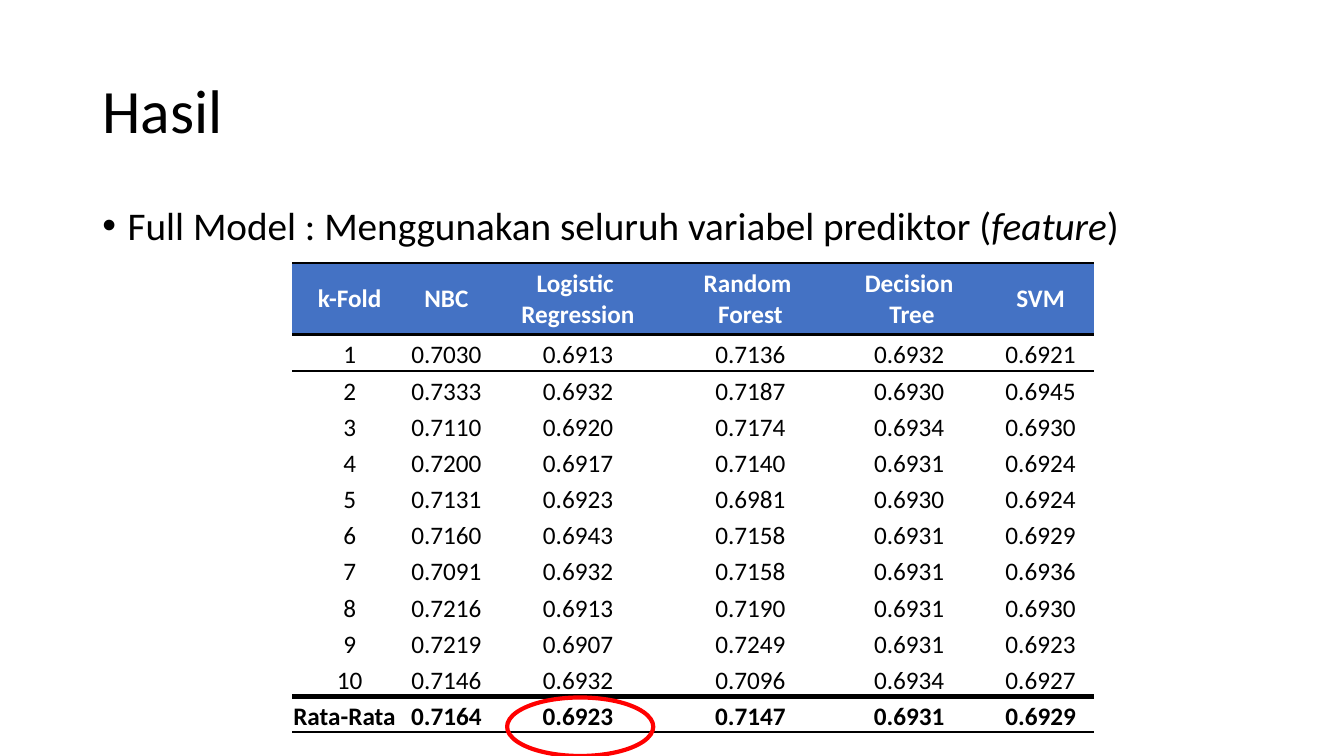
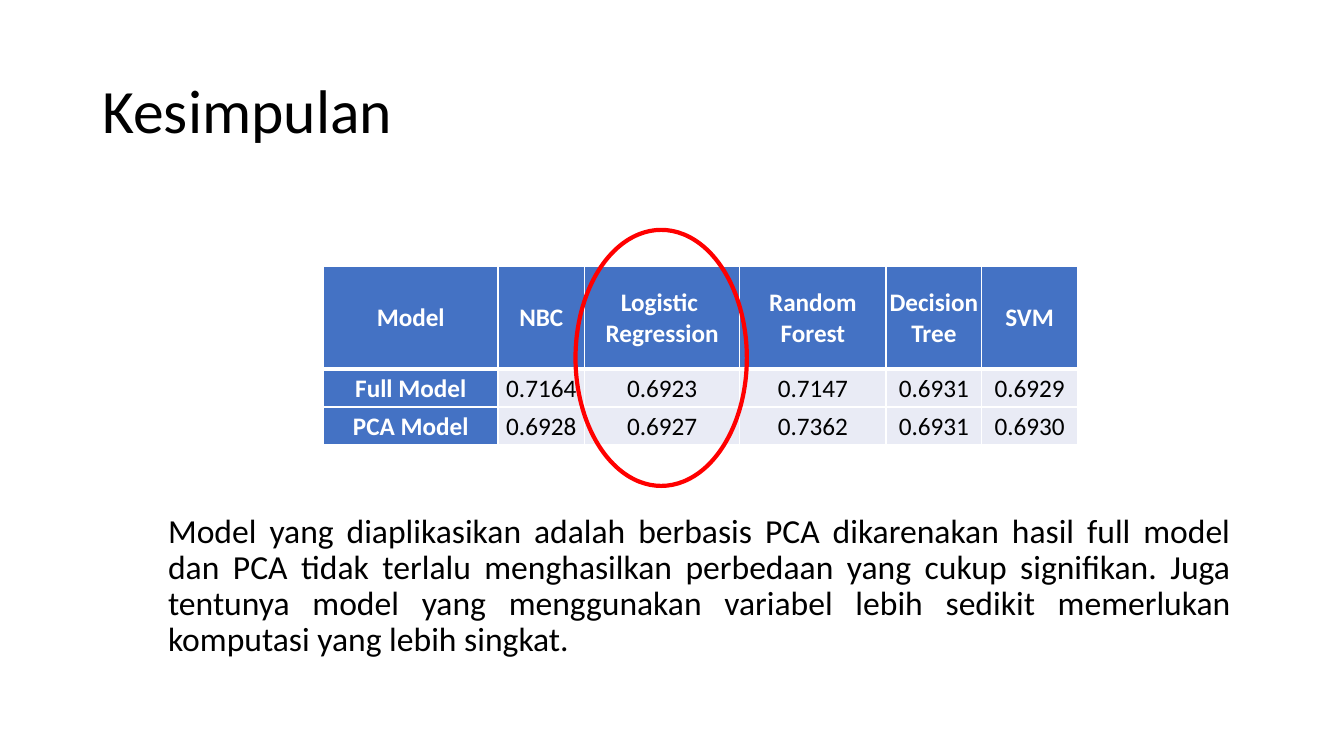
"""Builds two slides comparing the results of five classification models."""
from lxml import etree
from pptx import Presentation
from pptx.dml.color import RGBColor
from pptx.enum.shapes import MSO_SHAPE
from pptx.enum.text import MSO_ANCHOR, MSO_AUTO_SIZE, PP_ALIGN
from pptx.oxml.ns import qn
from pptx.util import Pt

BLACK = RGBColor(0x00, 0x00, 0x00)
WHITE = RGBColor(0xFF, 0xFF, 0xFF)
BLUE = RGBColor(0x44, 0x72, 0xC4)
PALE_BLUE = RGBColor(0xE9, 0xEB, 0xF5)
RED = RGBColor(0xFF, 0x00, 0x00)
OVAL = MSO_SHAPE.OVAL
MIDDLE, BOTTOM, TOP = MSO_ANCHOR.MIDDLE, MSO_ANCHOR.BOTTOM, MSO_ANCHOR.TOP
LEFT, CENTER, JUSTIFY = PP_ALIGN.LEFT, PP_ALIGN.CENTER, PP_ALIGN.JUSTIFY
FIXED_SIZE = MSO_AUTO_SIZE.NONE
FONT = "Calibri"
PLAIN_TABLE_STYLE = "{2D5ABB26-0587-4C30-8999-92F81FD0307C}"
TITLE_BOX = (66, 28.8, 828, 104.4)


def place_text(shape, box, size, anchor, alignment, space_before):
    shape.left, shape.top, shape.width, shape.height = map(Pt, box)
    frame = shape.text_frame
    frame.word_wrap = True
    frame.auto_size = FIXED_SIZE
    frame.vertical_anchor = anchor
    for paragraph in frame.paragraphs:
        paragraph.alignment = alignment
        paragraph.line_spacing = 0.9
        paragraph.space_before = Pt(space_before)
        for run in paragraph.runs:
            run.font.name, run.font.size = FONT, Pt(size)
            run.font.color.rgb = BLACK


def add_results_table(slide, left, top, widths, heights, rows, body_fill,
                      body_anchor, edge_color, row_edges, column_edge):
    table = slide.shapes.add_table(
        len(rows), len(widths), Pt(left), Pt(top),
        Pt(sum(widths)), Pt(sum(heights))).table
    table._tbl.tblPr.find(qn("a:tableStyleId")).text = PLAIN_TABLE_STYLE
    for column, width in zip(table.columns, widths):
        column.width = Pt(width)
    for row_number, values in enumerate(rows):
        is_header = row_number == 0
        table.rows[row_number].height = Pt(heights[row_number])
        edges = {"lnL": column_edge, "lnR": column_edge,
                 "lnT": row_edges[row_number], "lnB": row_edges[row_number + 1]}
        for column_number, value in enumerate(values):
            cell = table.cell(row_number, column_number)
            cell.text = value
            cell.vertical_anchor = MIDDLE if is_header else body_anchor
            cell.margin_left = cell.margin_right = cell.margin_top = Pt(0.72)
            cell.margin_bottom = 0
            for paragraph in cell.text_frame.paragraphs:
                paragraph.alignment = CENTER
                for run in paragraph.runs:
                    run.font.name, run.font.size = FONT, Pt(18)
                    run.font.bold = is_header
                    run.font.color.rgb = WHITE if is_header else BLACK
            cell.fill.solid()
            cell.fill.fore_color.rgb = BLUE if is_header else body_fill
            properties = cell._tc.get_or_add_tcPr()
            visible_edges = [edge for edge in edges.items() if edge[1]]
            for position, (tag, width) in enumerate(visible_edges):
                line = etree.Element(qn("a:" + tag), w=str(Pt(width)))
                fill = etree.SubElement(line, qn("a:solidFill"))
                etree.SubElement(fill, qn("a:srgbClr"), val=str(edge_color))
                properties.insert(position, line)
    return table


presentation = Presentation()
presentation.slide_width, presentation.slide_height = Pt(960), Pt(540)
content_layout = presentation.slide_layouts[1]
title_layout = presentation.slide_layouts[5]

results_slide = presentation.slides.add_slide(content_layout)
conclusion_slide = presentation.slides.add_slide(title_layout)
for slide, title in ((results_slide, "Hasil"), (conclusion_slide, "Kesimpulan")):
    slide.shapes.title.text_frame.text = title
    place_text(slide.shapes.title, TITLE_BOX, 44, MIDDLE, LEFT, 0)

model_description = results_slide.placeholders[1]
paragraph = model_description.text_frame.paragraphs[0]
for text, italic in (("Full Model : Menggunakan seluruh variabel prediktor (", False),
                     ("feature", True), (")", False)):
    run = paragraph.add_run()
    run.text = text
    run.font.italic = italic
place_text(model_description, (66, 144, 828, 60.5), 28, TOP, LEFT, 10)
paragraph_properties = paragraph._p.get_or_add_pPr()
paragraph_properties.set("marL", str(Pt(18)))
paragraph_properties.set("indent", str(-Pt(18)))
etree.SubElement(paragraph_properties, qn("a:buChar"), char="•")

fold_rows = [
    ["k-Fold", "NBC", "Logistic \nRegression", "Random \nForest", "Decision\n Tree", "SVM"],
    ["1", "0.7030", "0.6913", "0.7136", "0.6932", "0.6921"],
    ["2", "0.7333", "0.6932", "0.7187", "0.6930", "0.6945"],
    ["3", "0.7110", "0.6920", "0.7174", "0.6934", "0.6930"],
    ["4", "0.7200", "0.6917", "0.7140", "0.6931", "0.6924"],
    ["5", "0.7131", "0.6923", "0.6981", "0.6930", "0.6924"],
    ["6", "0.7160", "0.6943", "0.7158", "0.6931", "0.6929"],
    ["7", "0.7091", "0.6932", "0.7158", "0.6931", "0.6936"],
    ["8", "0.7216", "0.6913", "0.7190", "0.6931", "0.6930"],
    ["9", "0.7219", "0.6907", "0.7249", "0.6931", "0.6923"],
    ["10", "0.7146", "0.6932", "0.7096", "0.6934", "0.6927"],
    ["Rata-Rata", "0.7164", "0.6923", "0.7147", "0.6931", "0.6929"],
]
fold_table = add_results_table(
    results_slide, 208.8, 187.9, [82, 56.2, 131.8, 114.5, 112.3, 75.6],
    [51.1] + [25.85] * 11, fold_rows, WHITE, BOTTOM,
    BLACK, [2, 2] + [0] * 9 + [4, 2], 0)
for cell in fold_table.rows[11].cells:
    cell.text_frame.paragraphs[0].runs[0].font.bold = True
fold_table.cell(11, 0).text_frame.paragraphs[0].alignment = LEFT

model_rows = [
    ["Model", "NBC", "Logistic \nRegression", "Random\nForest", "Decision\nTree", "SVM"],
    ["Full Model", "0.7164", "0.6923", "0.7147", "0.6931", "0.6929"],
    ["PCA Model", "0.6928", "0.6927", "0.7362", "0.6931", "0.6930"],
]
model_table = add_results_table(
    conclusion_slide, 231.1, 190.1, [124.6, 61.9, 110.9, 104.4, 68.4, 68.4],
    [73.4, 27.2, 27.2], model_rows, PALE_BLUE, MIDDLE,
    WHITE, [1, 3, 1, 1], 1)
for row_number in (1, 2):
    model_cell = model_table.cell(row_number, 0)
    model_cell.fill.fore_color.rgb = BLUE
    model_font = model_cell.text_frame.paragraphs[0].runs[0].font
    model_font.bold = True
    model_font.color.rgb = WHITE

for slide, box in ((results_slide, (362.2, 498.2, 104.4, 41.8)),
                   (conclusion_slide, (411.1, 164.2, 122.4, 182.9))):
    highlight = slide.shapes.add_shape(OVAL, *map(Pt, box))
    highlight.shadow.inherit = False
    highlight.fill.background()
    highlight.line.color.rgb = RED
    highlight.line.width = Pt(3)

conclusion_box = (113, 363.6, 773.3, 132.5)
conclusion = conclusion_slide.shapes.add_textbox(*map(Pt, conclusion_box))
conclusion.text_frame.text = (
    "Model yang diaplikasikan adalah berbasis PCA dikarenakan hasil full model dan PCA "
    "tidak terlalu menghasilkan perbedaan yang cukup signifikan. Juga tentunya model yang "
    "menggunakan variabel lebih sedikit memerlukan komputasi yang lebih singkat.")
place_text(conclusion, conclusion_box, 24, TOP, JUSTIFY, 10)

presentation.save("out.pptx")
